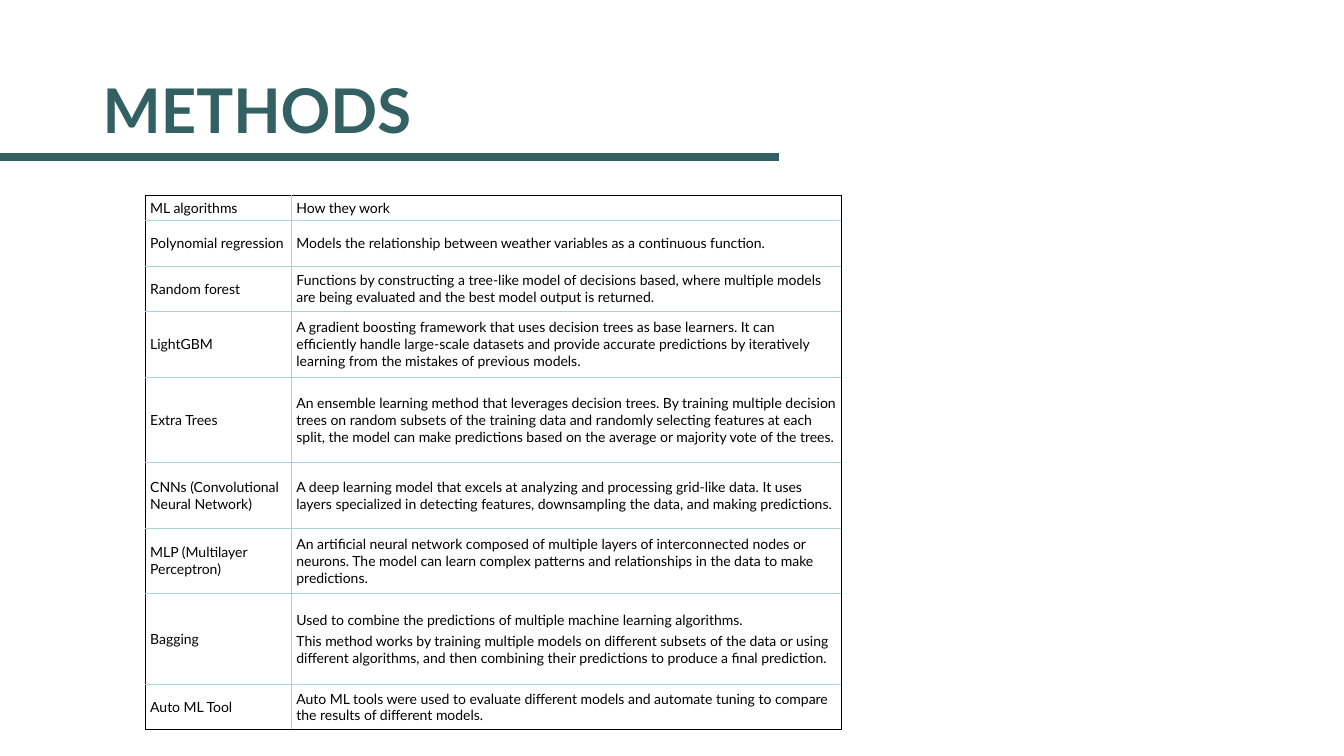
from dataclasses import dataclass

from lxml import etree
from pptx import Presentation
from pptx.dml.color import RGBColor
from pptx.enum.shapes import MSO_CONNECTOR
from pptx.enum.text import MSO_ANCHOR
from pptx.oxml.ns import qn
from pptx.util import Inches, Pt

STRAIGHT = MSO_CONNECTOR.STRAIGHT
MIDDLE = MSO_ANCHOR.MIDDLE


@dataclass(frozen=True)
class Theme:
    font: str = "Lato"
    accent: str = "326063"
    ink: str = "000000"
    grid: str = "AAD1D4"
    title_size: float = 44
    body_size: float = 10
    rule_width: float = 6
    border_width: float = 0.5
    paragraph_gap: float = 3


@dataclass(frozen=True)
class Method:
    name: str
    height: float
    description: tuple[str, ...]


THEME = Theme()
COLUMN_WIDTHS = (1.45, 5.45)
METHODS = (
    Method("ML algorithms", 0.25, ("How they work",)),
    Method("Polynomial regression", 0.45, (
        "Models the relationship between weather variables as a continuous function.",)),
    Method("Random forest", 0.45, (
        "Functions by constructing a tree-like model of decisions based, where multiple "
        "models are being evaluated and the best model output is returned.",)),
    Method("LightGBM", 0.65, (
        "A gradient boosting framework that uses decision trees as base learners. It can "
        "efficiently handle large-scale datasets and provide accurate predictions by "
        "iteratively learning from the mistakes of previous models.",)),
    Method("Extra Trees", 0.85, (
        "An ensemble learning method that leverages decision trees. By training multiple "
        "decision trees on random subsets of the training data and randomly selecting "
        "features at each split, the model can make predictions based on the average or "
        "majority vote of the trees.",)),
    Method("CNNs (Convolutional Neural Network)", 0.65, (
        "A deep learning model that excels at analyzing and processing grid-like data. It "
        "uses layers specialized in detecting features, downsampling the data, and making "
        "predictions.",)),
    Method("MLP (Multilayer Perceptron)", 0.65, (
        "An artificial neural network composed of multiple layers of interconnected nodes "
        "or neurons. The model can learn complex patterns and relationships in the data to "
        "make predictions.",)),
    Method("Bagging", 0.9, (
        "Used to combine the predictions of multiple machine learning algorithms.",
        "This method works by training multiple models on different subsets of the data or "
        "using different algorithms, and then combining their predictions to produce a "
        "final prediction.")),
    Method("Auto ML Tool", 0.45, (
        "Auto ML tools were used to evaluate different models and automate tuning to "
        "compare the results of different models.",)),
)


def apply_format(target, values: dict) -> None:
    for name, value in values.items():
        setattr(target, name, value)


def write_run(paragraph, text: str, size: float, color: str, bold: bool = False) -> None:
    run = paragraph.add_run()
    run.text = text
    apply_format(run.font, {"name": THEME.font, "size": Pt(size), "bold": bold})
    run.font.color.rgb = RGBColor.from_string(color)


def add_title(slide, text: str) -> None:
    box = slide.shapes.add_textbox(Inches(0.92), Inches(0.4), Inches(11.5), Inches(1.45))
    apply_format(box.text_frame, {"word_wrap": True, "vertical_anchor": MIDDLE})
    paragraph = box.text_frame.paragraphs[0]
    paragraph.line_spacing = 0.9
    write_run(paragraph, text, THEME.title_size, THEME.accent, bold=True)


def add_rule(slide) -> None:
    rule = slide.shapes.add_connector(
        STRAIGHT, Inches(0), Inches(1.56), Inches(7.73), Inches(1.56))
    rule.line.color.rgb = RGBColor.from_string(THEME.accent)
    rule.line.width = Pt(THEME.rule_width)
    etree.SubElement(rule._element.spPr, qn("a:effectLst"))


def set_borders(cell, colors: dict[str, str]) -> None:
    properties = cell._tc.get_or_add_tcPr()
    for position, (side, color) in enumerate(colors.items()):
        line = etree.Element(qn(f"a:ln{side}"), w=str(Pt(THEME.border_width)))
        fill = etree.SubElement(line, qn("a:solidFill"))
        etree.SubElement(fill, qn("a:srgbClr"), val=color)
        properties.insert(position, line)


def fill_cell(cell, texts: tuple[str, ...]) -> None:
    cell.fill.background()
    apply_format(cell, {
        "vertical_anchor": MIDDLE,
        "margin_left": Inches(0.05), "margin_right": Inches(0.05),
        "margin_top": 0, "margin_bottom": 0,
    })
    frame = cell.text_frame
    for index, text in enumerate(texts):
        paragraph = frame.add_paragraph() if index else frame.paragraphs[0]
        if index:
            paragraph.space_before = Pt(THEME.paragraph_gap)
        if index == len(texts) - 1:
            paragraph.space_after = Pt(THEME.paragraph_gap)
        write_run(paragraph, text, THEME.body_size, THEME.ink)


def add_methods_table(slide, methods: tuple[Method, ...]) -> None:
    height = sum(method.height for method in methods)
    table = slide.shapes.add_table(
        len(methods), len(COLUMN_WIDTHS), Inches(1.44), Inches(1.94),
        Inches(sum(COLUMN_WIDTHS)), Inches(height)).table
    apply_format(table, {"first_row": False, "horz_banding": False})
    for column, width in zip(table.columns, COLUMN_WIDTHS):
        column.width = Inches(width)

    last_row, last_column = len(methods) - 1, len(COLUMN_WIDTHS) - 1
    for row, method in enumerate(methods):
        table.rows[row].height = Inches(method.height)
        for column, texts in enumerate(((method.name,), method.description)):
            cell = table.cell(row, column)
            fill_cell(cell, texts)
            # Dark outer frame, pale inner grid
            outer = {"L": column == 0, "R": column == last_column,
                     "T": row == 0, "B": row == last_row}
            set_borders(cell, {side: THEME.ink if edge else THEME.grid
                               for side, edge in outer.items()})


def main() -> None:
    presentation = Presentation()
    apply_format(presentation, {"slide_width": Inches(13.33), "slide_height": Inches(7.5)})
    slide = presentation.slides.add_slide(presentation.slide_layouts[6])
    # Heading
    add_title(slide, "METHODS")
    add_rule(slide)
    # Algorithm overview
    add_methods_table(slide, METHODS)
    presentation.save("out.pptx")


if __name__ == "__main__":
    main()
